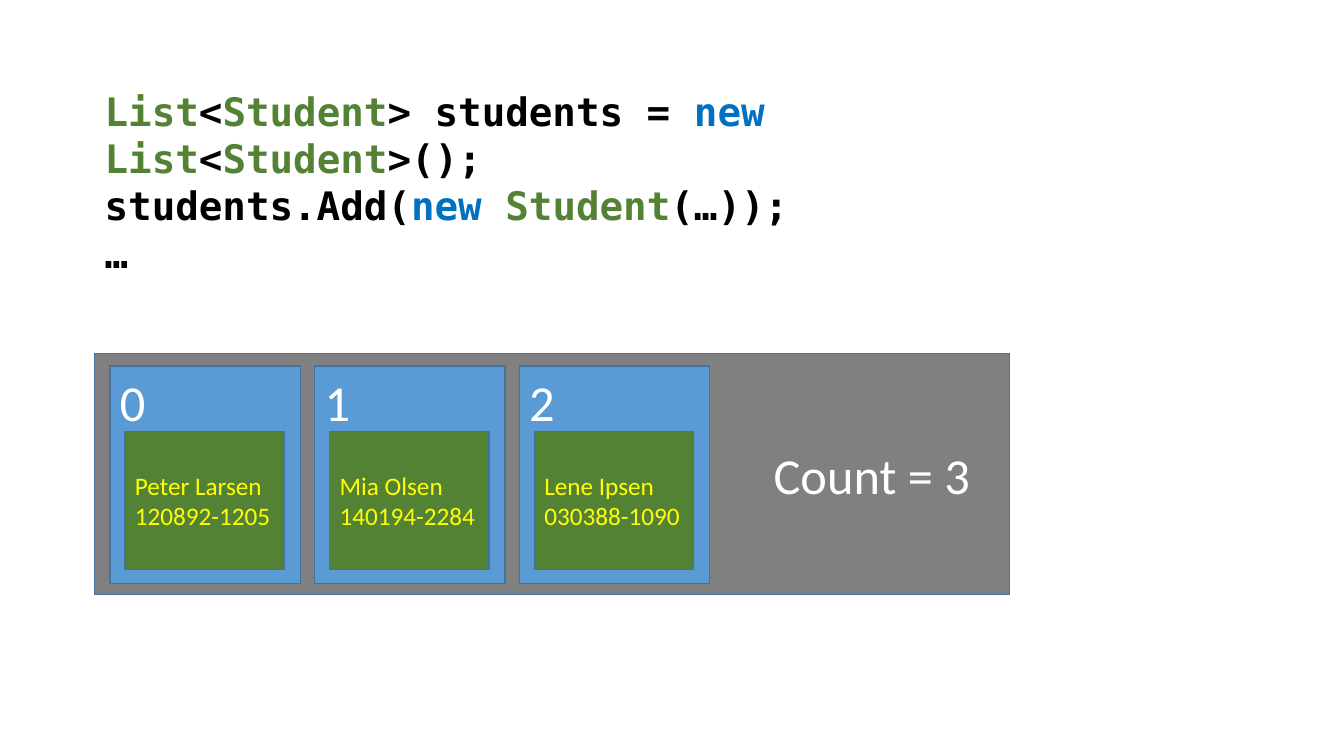
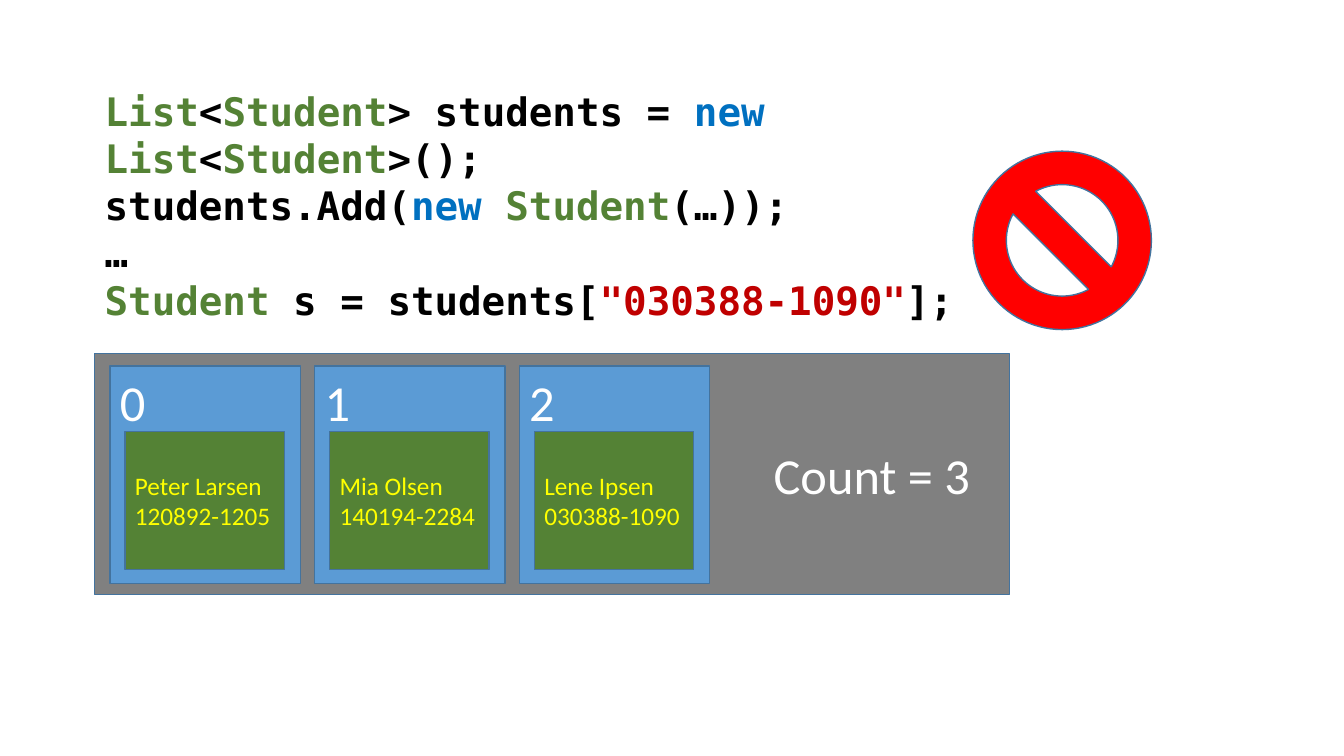
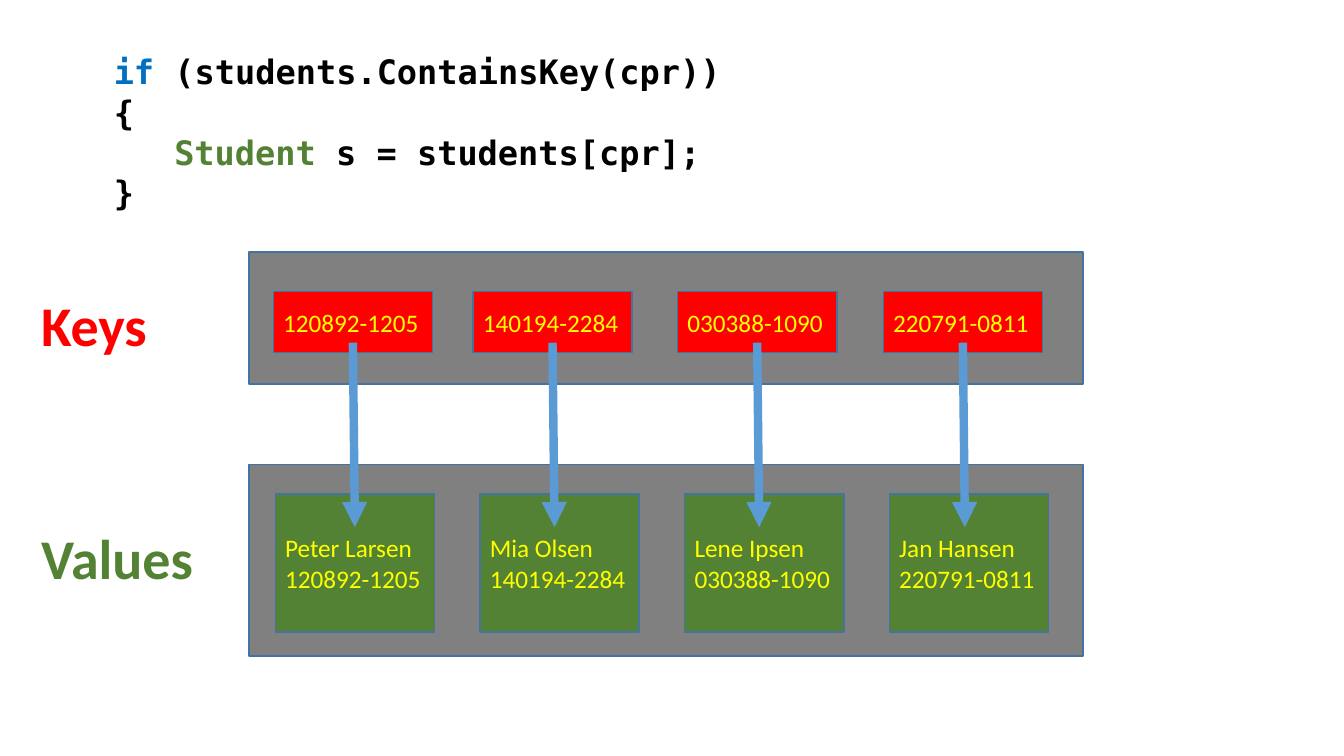
from lxml.etree import SubElement
from pptx import Presentation
from pptx.dml.color import RGBColor
from pptx.enum.shapes import MSO_CONNECTOR, MSO_SHAPE
from pptx.enum.text import MSO_ANCHOR, MSO_AUTO_SIZE, PP_ALIGN
from pptx.oxml.ns import qn
from pptx.util import Inches, Pt

BLACK = RGBColor(0x00, 0x00, 0x00)
WHITE = RGBColor(0xFF, 0xFF, 0xFF)
GRAY = RGBColor(0x80, 0x80, 0x80)
BLUE = RGBColor(0x5B, 0x9B, 0xD5)
OUTLINE = RGBColor(0x43, 0x73, 0x9E)
GREEN = RGBColor(0x54, 0x82, 0x35)
RED = RGBColor(0xFF, 0x00, 0x00)
YELLOW = RGBColor(0xFF, 0xFF, 0x00)
KEYWORD = RGBColor(0x00, 0x70, 0xC0)
STRING = RGBColor(0xC0, 0x00, 0x00)

BODY_FONT = "Calibri"
CODE_FONT = "DejaVu Sans Mono"

STUDENTS = [
    ("Peter Larsen", "120892-1205"),
    ("Mia Olsen", "140194-2284"),
    ("Lene Ipsen", "030388-1090"),
    ("Jan Hansen", "220791-0811"),
]
CARD_WIDTH, CARD_HEIGHT = 1.58, 1.37
PITCH = 2.03  # distance between neighbouring students

# Code lines: each is a list of plain strings or (string, colour) pairs
LIST_CODE = [
    [("List", GREEN), "<", ("Student", GREEN), "> students = ", ("new ", KEYWORD),
     ("List", GREEN), "<", ("Student", GREEN), ">();"],
    ["students.Add(", ("new ", KEYWORD), ("Student", GREEN), "(…));"],
    ["…"],
]
LOOKUP_CODE = [[("Student", GREEN), " s = students[", ('"030388-1090"', STRING), "];"]]
DICTIONARY_CODE = [
    [("if", KEYWORD), " (students.ContainsKey(cpr))"],
    ["{"],
    [("Student", GREEN), " s = students[cpr];"],
    ["}"],
]


def write(shape, lines, *, size, color=BLACK, font=BODY_FONT, bold=False,
          align=PP_ALIGN.LEFT, anchor=MSO_ANCHOR.MIDDLE, spacing=None, indents=None):
    """Write lines of spans; indents maps a line number to inches."""
    frame = shape.text_frame
    frame.word_wrap = True
    frame.vertical_anchor = anchor
    for number, line in enumerate(lines):
        para = frame.paragraphs[0] if number == 0 else frame.add_paragraph()
        para.alignment = align
        if spacing:
            para.line_spacing = spacing
        if indents and number in indents:
            para._p.get_or_add_pPr().set("marL", str(Inches(indents[number])))
        for part in [line] if isinstance(line, str) else line:
            text, tint = (part, color) if isinstance(part, str) else part
            span = para.add_run()
            span.text = text
            span.font.name = font
            span.font.size = Pt(size)
            span.font.bold = bold
            span.font.color.rgb = tint
    return frame


def add_block(page, box, fill, kind=MSO_SHAPE.RECTANGLE):
    shape = page.shapes.add_shape(kind, *map(Inches, box))
    shape.shadow.inherit = False
    shape.fill.solid()
    shape.fill.fore_color.rgb = fill
    shape.line.color.rgb = OUTLINE
    shape.line.width = Pt(1)
    return shape


def add_code(page, box, lines, size, indents=None):
    shape = page.shapes.add_textbox(*map(Inches, box))
    frame = write(shape, lines, size=size, font=CODE_FONT, bold=True,
                  anchor=MSO_ANCHOR.TOP, indents=indents)
    frame.auto_size = MSO_AUTO_SIZE.SHAPE_TO_FIT_TEXT


def add_label(page, box, text, color):
    shape = page.shapes.add_textbox(*map(Inches, box))
    write(shape, [text], size=40, color=color, bold=True, spacing=0.9)


def add_card(page, left, top, student):
    card = add_block(page, (left, top, CARD_WIDTH, CARD_HEIGHT), GREEN)
    write(card, student, size=18, color=YELLOW)


def add_arrow(page, start, end):
    arrow = page.shapes.add_connector(MSO_CONNECTOR.STRAIGHT, *map(Inches, start + end))
    arrow.line.color.rgb = BLUE
    arrow.line.width = Pt(6)
    SubElement(arrow.line._get_or_add_ln(), qn("a:tailEnd"), type="triangle")
    SubElement(arrow._element.spPr, qn("a:effectLst"))


def add_list(page, box, students):
    """Frame with numbered slots, one card in each, and the count at right."""
    left, top, _, _ = box
    frame = write(add_block(page, box, GRAY), [f"Count = {len(students)}"],
                  size=36, color=WHITE, align=PP_ALIGN.RIGHT)
    frame.margin_right = Inches(0.39)
    for index, student in enumerate(students):
        slot_left = left + 0.15 + index * PITCH
        slot = add_block(page, (slot_left, top + 0.12, 1.89, 2.16), BLUE)
        write(slot, [str(index)], size=36, color=WHITE, anchor=MSO_ANCHOR.TOP)
        add_card(page, slot_left + 0.15, top + 0.77, student)


def add_values(page, box, students):
    left, top, _, _ = box
    add_block(page, box, GRAY)
    for index, student in enumerate(students):
        add_card(page, left + 0.26 + index * PITCH, top + 0.29, student)


def add_keys(page, box, students, arrow_length):
    """Frame with one key per student and an arrow down from each key."""
    left, top, _, _ = box
    add_block(page, box, GRAY)
    key_lefts = [left + offset for offset in (0.24, 2.22, 4.25, 6.29)]
    for key_left, (_, number) in zip(key_lefts, students):
        key = add_block(page, (key_left, top + 0.39, CARD_WIDTH, 0.61), RED)
        write(key, [number], size=18, color=YELLOW)
    for key_left in key_lefts:
        middle = key_left + CARD_WIDTH / 2
        add_arrow(page, (middle, top + 0.9), (middle + 0.02, top + 0.9 + arrow_length))


def list_slide(page, code):
    add_list(page, (0.94, 3.51, 9.07, 2.39), STUDENTS[:3])
    add_code(page, (0.94, 0.82, 10.07, 0.48 * (len(code) + 1)), code, 28)


def dictionary_slide(page):
    add_values(page, (2.47, 4.61, 8.27, 1.9), STUDENTS)
    add_keys(page, (2.47, 2.5, 8.27, 1.31), STUDENTS, arrow_length=1.83)
    add_label(page, (0.31, 2.7, 1.86, 1.11), "Keys", RED)
    add_label(page, (0.31, 5.01, 2.09, 1.11), "Values", GREEN)
    add_code(page, (1.03, 0.46, 6.25, 1.72), DICTIONARY_CODE, 24, indents={2: 0.6})


def main():
    deck = Presentation()
    deck.slide_width, deck.slide_height = Inches(13.33), Inches(7.5)
    blank = deck.slide_layouts[6]

    # List of students
    list_slide(deck.slides.add_slide(blank), LIST_CODE)

    # Lookup by text, which a list does not allow; the sign stands clear of the code
    page = deck.slides.add_slide(blank)
    list_slide(page, LIST_CODE + LOOKUP_CODE)
    add_block(page, (9.65, 1.5, 1.77, 1.77), RED, MSO_SHAPE.NO_SYMBOL)

    # Dictionary with keys and values
    dictionary_slide(deck.slides.add_slide(blank))

    deck.save("out.pptx")


if __name__ == "__main__":
    main()
